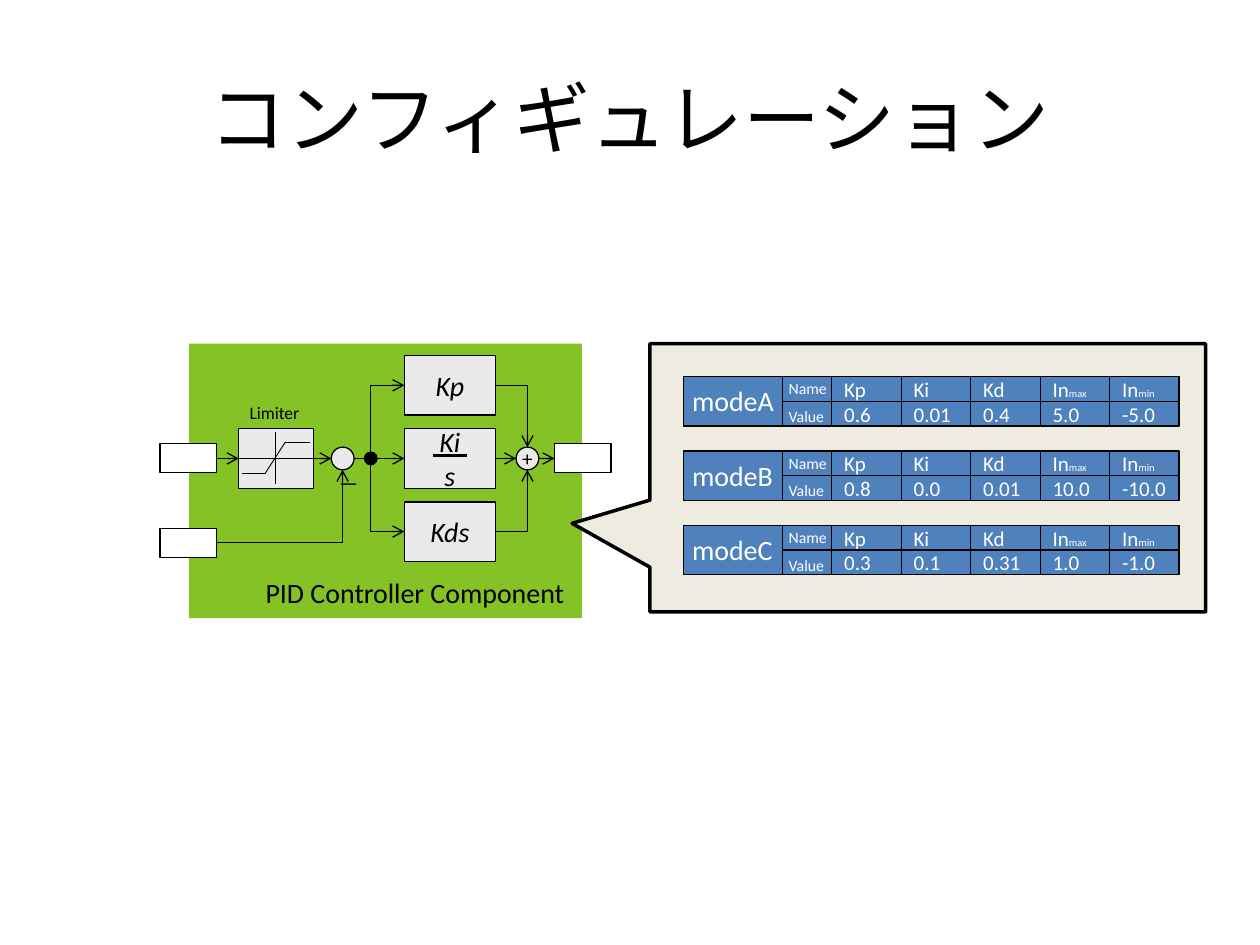
from lxml.etree import SubElement
from pptx import Presentation
from pptx.dml.color import RGBColor
from pptx.enum.shapes import MSO_CONNECTOR, MSO_SHAPE
from pptx.enum.text import MSO_ANCHOR, PP_ALIGN
from pptx.oxml.ns import qn
from pptx.util import Pt

BLACK, WHITE, GREY, BLUE = "000000", "FFFFFF", "EAEAEA", "4F81BD"
GREEN, CREAM = "84C225", "EEECE1"
ITALIC, UNDERLINE = {"italic": True}, {"underline": True}

TITLE = "コンフィギュレーション"
PARAMETERS = [["Kp"], ["Ki"], ["Kd"], ["In", "max"], ["In", "min"]]
MODES = [
    ("modeA", ["0.6", "0.01", "0.4", "5.0", "-5.0"]),
    ("modeB", ["0.8", "0.0", "0.01", "10.0", "-10.0"]),
    ("modeC", ["0.3", "0.1", "0.31", "1.0", "-1.0"]),
]
GAINS = [
    [[("Kp", 16, ITALIC)]],
    [[(" ", 16, UNDERLINE), ("Ki", 16, ITALIC | UNDERLINE), (" ", 16, UNDERLINE)],
     [("s", 16, ITALIC)]],
    [[("Kds", 16, ITALIC)]],
]
PORTS = [(91.4, 253.4), (316.8, 253.4), (91.4, 301.8)]
PORT_SIZE = (32.4, 16.8)

AXIS = 262
GAIN_LEFT, GAIN_WIDTH, GAIN_HEIGHT, GAIN_STEP = 231.1, 52, 34, 41.8
GAIN_RIGHT = GAIN_LEFT + GAIN_WIDTH
BRANCH, SUM, DIFFERENCE = 211.9, 301.4, 195.8
TOP_AXIS, BOTTOM_AXIS = AXIS - GAIN_STEP, AXIS + GAIN_STEP
RADIUS = 6.5

STRAIGHT_ARROWS = [
    (123.8, 136.4), (178.7, 189.4), (215.5, GAIN_LEFT),
    (GAIN_RIGHT, SUM - RADIUS), (SUM + RADIUS, 316.8),
]
LIMITER_LINES = [
    (157.4, 247, 157.4, 276.8), (136.4, AXIS, 178.7, AXIS),
    (138.2, 270.7, 151.6, 270.7), (151.4, 270.7, 163, 252.7),
    (163, 252.7, 177.1, 252.7),
]
BENT_ARROWS = [
    (GAIN_LEFT, TOP_AXIS, BRANCH, AXIS - 3.6, "headEnd"),
    (GAIN_LEFT, BOTTOM_AXIS, BRANCH, AXIS + 3.6, "headEnd"),
    (GAIN_RIGHT, TOP_AXIS, SUM, AXIS - RADIUS, "tailEnd"),
    (GAIN_RIGHT, BOTTOM_AXIS, SUM, AXIS + RADIUS, "tailEnd"),
    (123.8, 310.2, DIFFERENCE, AXIS + RADIUS, "tailEnd"),
]

TABLE_LEFT, TABLE_TOP, TABLE_STEP = 390.4, 215.2, 42.5
MODE_WIDTH, LABEL_WIDTH, CELL_WIDTH, ROW_HEIGHT = 56.6, 28.3, 39.7, 14.1

presentation = Presentation()
presentation.slide_width, presentation.slide_height = Pt(720), Pt(540)
slide = presentation.slides.add_slide(presentation.slide_layouts[6])


def color(value):
    return RGBColor.from_string(value)


def write(shape, paragraphs, text_color=BLACK, align=PP_ALIGN.CENTER,
          anchor=MSO_ANCHOR.MIDDLE, wrap=False):
    frame = shape.text_frame
    frame.word_wrap, frame.vertical_anchor = wrap, anchor
    for index, runs in enumerate(paragraphs):
        paragraph = frame.add_paragraph() if index else frame.paragraphs[0]
        paragraph.alignment = align
        for text, size, style in runs:
            run = paragraph.add_run()
            run.text = text
            run.font.name, run.font.size = "Calibri", Pt(size)
            run.font.color.rgb = color(text_color)
            for name, value in style.items():
                setattr(run.font, name, value)


def add_block(left, top, width, height, fill, line=BLACK, weight=0.75,
              kind=MSO_SHAPE.RECTANGLE):
    shape = slide.shapes.add_shape(kind, Pt(left), Pt(top), Pt(width), Pt(height))
    shape.shadow.inherit = False
    for paint, value in ((shape.fill, fill), (shape.line.fill, line)):
        if value:
            paint.solid()
            paint.fore_color.rgb = color(value)
        else:
            paint.background()
    if line:
        shape.line.width = Pt(weight)
    return shape


def add_circle(center_x, center_y, radius, fill, line=BLACK):
    return add_block(center_x - radius, center_y - radius, 2 * radius, 2 * radius,
                     fill, line, kind=MSO_SHAPE.OVAL)


def add_text(left, top, width, height, text, size, text_color=BLACK,
             align=PP_ALIGN.LEFT, anchor=MSO_ANCHOR.TOP, wrap=False):
    box = slide.shapes.add_textbox(Pt(left), Pt(top), Pt(width), Pt(height))
    write(box, [[(text, size, {})]], text_color, align, anchor, wrap)


def add_line(x1, y1, x2, y2, arrow=None, weight=0.75, bent=False):
    kind = MSO_CONNECTOR.ELBOW if bent else MSO_CONNECTOR.STRAIGHT
    connector = slide.shapes.add_connector(kind, Pt(x1), Pt(y1), Pt(x2), Pt(y2))
    connector.line.width = Pt(weight)
    connector.line.color.rgb = color(BLACK)
    properties = connector._element.spPr
    if bent:
        properties.find(qn("a:prstGeom")).set("prst", "bentConnector2")
    if arrow:
        SubElement(properties.find(qn("a:ln")), qn("a:" + arrow), type="arrow")
    SubElement(properties, qn("a:effectLst"))


def add_mode(index, name, values):
    top = TABLE_TOP + index * TABLE_STEP
    label_left = TABLE_LEFT + MODE_WIDTH
    cells_left = label_left + LABEL_WIDTH
    rows = [PARAMETERS, [[value] for value in values]]
    for row, cells in enumerate(rows):
        row_top = top + row * ROW_HEIGHT
        add_block(label_left, row_top, LABEL_WIDTH, ROW_HEIGHT, BLUE)
        for column, parts in enumerate(cells):
            cell = add_block(cells_left + column * CELL_WIDTH, row_top,
                             CELL_WIDTH, ROW_HEIGHT, BLUE)
            runs = [(part, size, {}) for part, size in zip(parts, (12, 6))]
            write(cell, [runs], WHITE, PP_ALIGN.LEFT)
    add_text(label_left - 3.4, top - 2.2, 36.7, 18, "Name", 9, WHITE)
    add_text(label_left - 3.4, top + 13.7, 35.3, 18, "Value", 9, WHITE)
    add_block(TABLE_LEFT, top, MODE_WIDTH, 2 * ROW_HEIGHT, BLUE)
    add_text(TABLE_LEFT - 2, top + 0.7, 61.5, 26.6, name, 16, WHITE)


add_text(36, 21.6, 648, 90, TITLE, 44, align=PP_ALIGN.CENTER,
         anchor=MSO_ANCHOR.MIDDLE, wrap=True)

add_block(108, 196.4, 224.6, 156.8, GREEN, None)
for port in PORTS:
    add_block(*port, *PORT_SIZE, WHITE)
for index, paragraphs in enumerate(GAINS):
    center = AXIS + (index - 1) * GAIN_STEP
    gain = add_block(GAIN_LEFT, center - GAIN_HEIGHT / 2, GAIN_WIDTH, GAIN_HEIGHT, GREY)
    write(gain, paragraphs)
write(add_circle(SUM, AXIS, RADIUS, GREY), [[("+", 12, {})]])
add_circle(DIFFERENCE, AXIS, RADIUS, GREY)
add_circle(BRANCH, AXIS, 3.6, BLACK)
write(add_circle(199.6, 276.8, 4.6, None, None), [[("－", 12, {})]])
add_block(136.4, 245, 42.5, 34, GREY, weight=0.5)
for ends in LIMITER_LINES:
    add_line(*ends, weight=0.5)
add_line(DIFFERENCE + RADIUS, AXIS, BRANCH - 3.6, AXIS)
for start, end in STRAIGHT_ARROWS:
    add_line(start, AXIS, end, AXIS, "tailEnd")
for bend in BENT_ARROWS:
    add_line(*bend, bent=True)
add_text(144.7, 325.6, 187.2, 26.6, "PID Controller Component", 16)
add_text(135.2, 226, 43.2, 19.4, "Limiter", 10, align=PP_ALIGN.CENTER)

callout = add_block(371.4, 196.4, 317.6, 153.2, CREAM, weight=2,
                    kind=MSO_SHAPE.RECTANGULAR_CALLOUT)
callout.adjustments[0], callout.adjustments[1] = -0.64, 0.17
for index, (name, values) in enumerate(MODES):
    add_mode(index, name, values)

presentation.save("out.pptx")
